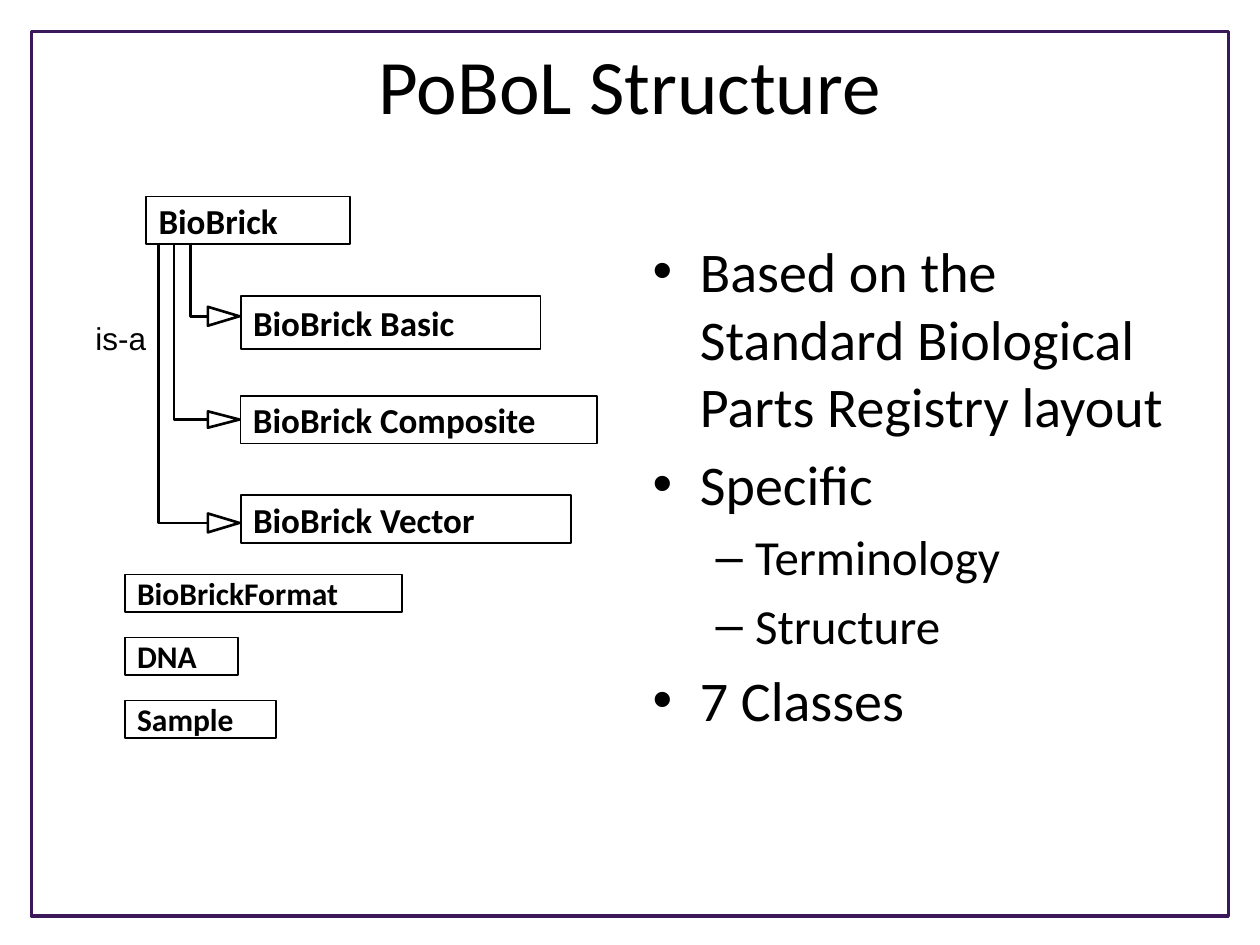
import pptx
import pptx.util
from pptx.dml.color import RGBColor
from pptx.enum.shapes import MSO_CONNECTOR, MSO_SHAPE
from pptx.enum.text import MSO_ANCHOR, PP_ALIGN
from pptx.oxml.ns import qn
from pptx.util import Inches, Pt

BLACK = RGBColor(0, 0, 0)
WHITE = RGBColor(255, 255, 255)
PURPLE = RGBColor(0x3B, 0x18, 0x5A)

TITLE = "PoBoL Structure"
BULLETS = [  # level, text
    (0, "Based on the Standard Biological Parts Registry layout"),
    (0, "Specific"),
    (1, "Terminology"),
    (1, "Structure"),
    (0, "7 Classes"),
]
BULLET_SIZES = [32, 28]
PARENT = ("BioBrick", 1.16, 1.56, 1.62, 0.38)
# text, top, width, height, x of its branch, y of its arrow, arrowhead width
SUBCLASSES = [
    ("BioBrick Basic", 2.35, 2.38, 0.42, 1.51, 2.51, 0.15),
    ("BioBrick Composite", 3.14, 2.83, 0.38, 1.38, 3.33, 0.13),
    ("BioBrick Vector", 3.93, 2.62, 0.38, 1.26, 4.15, 0.15),
]
SUBCLASS_LEFT = 1.91
OTHER_CLASSES = [("BioBrickFormat", 2.2), ("DNA", 0.9), ("Sample", 1.2)]
OTHER_LEFT, OTHER_TOP, OTHER_STEP, OTHER_HEIGHT = 0.99, 4.56, 0.5, 0.3
HEAD_LENGTH, HEAD_BASE = 0.25, 1.65


def write(p, text, size, **formats):
    r = p.add_run()
    r.text = text
    r.font.color.rgb = BLACK
    for name, value in {"name": "Calibri", "size": Pt(size), **formats}.items():
        setattr(r.font, name, value)


def place(sp, *box):
    for name, value in zip(("left", "top", "width", "height"), box):
        setattr(sp, name, Inches(value))


def add_outline(s, kind, box, width, color=BLACK, fill=None):
    sp = s.shapes.add_shape(kind, *map(Inches, box))
    sp.shadow.inherit = False
    if fill is None:
        sp.fill.background()
    else:
        sp.fill.solid()
        sp.fill.fore_color.rgb = fill
    sp.line.color.rgb = color
    sp.line.width = Pt(width)
    return sp


def add_class(s, text, box, size, fill=None):
    sp = add_outline(s, MSO_SHAPE.RECTANGLE, box, 1, fill=fill)
    tf = sp.text_frame
    tf.word_wrap = True
    tf.vertical_anchor = MSO_ANCHOR.MIDDLE
    tf.paragraphs[0].alignment = PP_ALIGN.LEFT
    write(tf.paragraphs[0], text, size, bold=True)


def add_branch(s, x, top, y, head_width):
    """Draw a line down from the parent, then right to a hollow arrowhead."""
    run, drop = HEAD_BASE - x, y - top
    # The preset goes right then down, so it is mirrored and turned by 270 degrees.
    left, upper = x + (run - drop) / 2, top + (drop - run) / 2
    line = s.shapes.add_connector(
        MSO_CONNECTOR.ELBOW,
        *map(Inches, (left, upper, left + drop, upper + run)))
    line.line.color.rgb = BLACK
    line.line.width = Pt(1.5)
    props = line._element.spPr
    props.find(qn("a:prstGeom")).set("prst", "bentConnector2")
    xfrm = props.find(qn("a:xfrm"))
    xfrm.set("rot", str(270 * 60000))
    xfrm.set("flipH", "1")
    props.append(props.makeelement(qn("a:effectLst"), {}))

    middle = HEAD_BASE + HEAD_LENGTH / 2
    box = (middle - head_width / 2, y - HEAD_LENGTH / 2, head_width, HEAD_LENGTH)
    head = add_outline(s, MSO_SHAPE.ISOSCELES_TRIANGLE, box, 1.5, fill=WHITE)
    head.rotation = 90


def main():
    prs = pptx.Presentation()
    prs.slide_width, prs.slide_height = Inches(10), Inches(7.5)
    s = prs.slides.add_slide(prs.slide_layouts[1])
    add_outline(s, MSO_SHAPE.RECTANGLE, (0.25, 0.25, 9.5, 7.02), 1.75, PURPLE)

    title, body = s.placeholders
    place(title, 0.5, 0.08, 9, 1.17)
    write(title.text_frame.paragraphs[0], TITLE, 44)

    place(body, 5.08, 1.83, 4.42, 4.67)
    tf = body.text_frame
    for i, (level, text) in enumerate(BULLETS):
        p = tf.add_paragraph() if i else tf.paragraphs[0]
        p.level = level
        if i == 0:
            p.space_before = Pt(0)
        write(p, text, BULLET_SIZES[level])

    name, left, top, width, height = PARENT
    for text, y, w, h, branch_x, arrow_y, head_width in SUBCLASSES:
        add_class(s, text, (SUBCLASS_LEFT, y, w, h), 20)
        add_branch(s, branch_x, top + height, arrow_y, head_width)
    add_class(s, name, (left, top, width, height), 20, WHITE)

    for i, (text, w) in enumerate(OTHER_CLASSES):
        box = (OTHER_LEFT, OTHER_TOP + i * OTHER_STEP, w, OTHER_HEIGHT)
        add_class(s, text, box, 18)

    label = s.shapes.add_textbox(*map(Inches, (0.66, 2.48, 0.74, 0.4)))
    label.text_frame.word_wrap = True
    write(label.text_frame.paragraphs[0], "is-a", 18, name="Arial")

    prs.save("out.pptx")


if __name__ == "__main__":
    main()
